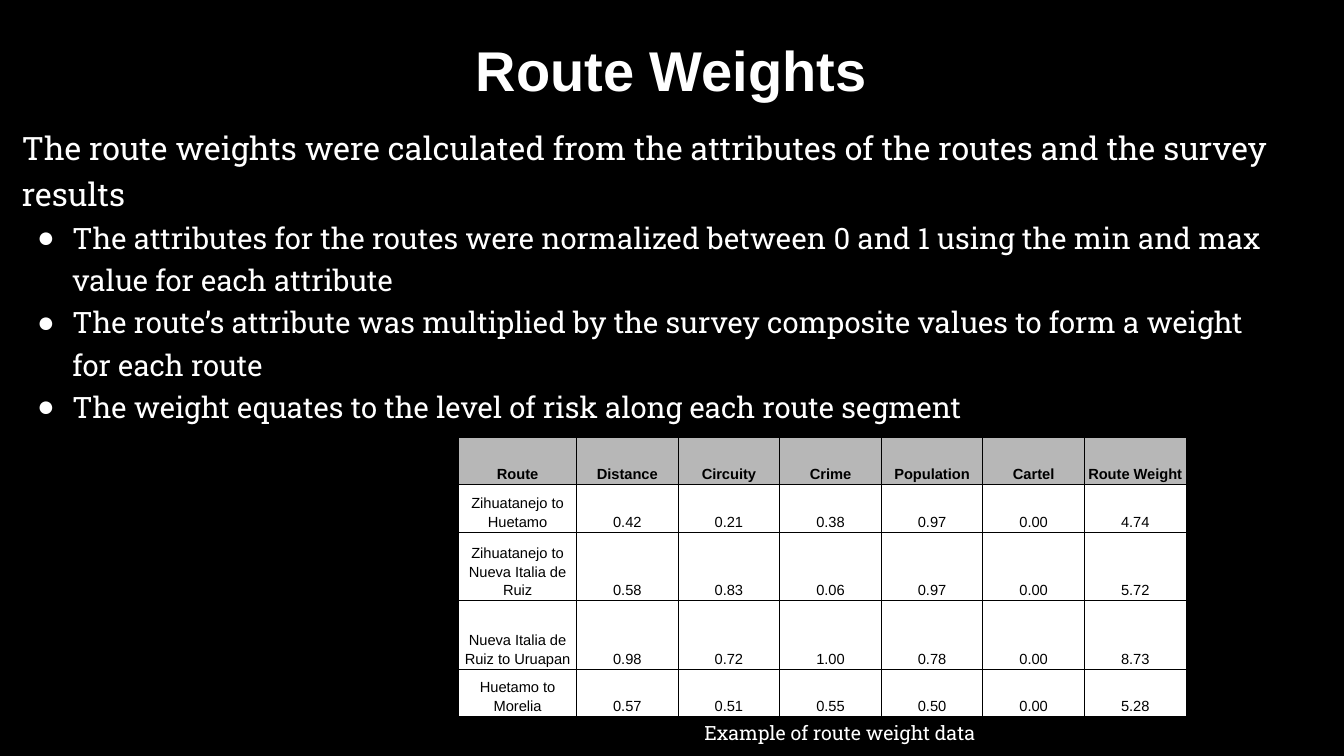
from lxml import etree
from pptx import Presentation
from pptx.dml.color import RGBColor
from pptx.enum.text import MSO_ANCHOR, MSO_AUTO_SIZE, PP_ALIGN
from pptx.oxml.ns import qn
from pptx.util import Cm, Pt

CENTER, LEFT = PP_ALIGN.CENTER, PP_ALIGN.LEFT
MIDDLE, TOP, BOTTOM = MSO_ANCHOR.MIDDLE, MSO_ANCHOR.TOP, MSO_ANCHOR.BOTTOM
NO_FIT, GROW = MSO_AUTO_SIZE.NONE, MSO_AUTO_SIZE.SHAPE_TO_FIT_TEXT

COLORS = {"black": "000000", "white": "FFFFFF", "header": "B7B7B7"}
SANS, SLAB = "Arial", "Roboto Slab"

HEADING = "Route Weights"
INTRO = ("The route weights were calculated from the attributes of the routes "
         "and the survey results")
POINTS = [
    "The attributes for the routes were normalized between 0 and 1 using the "
    "min and max value for each attribute",
    "The route’s attribute was multiplied by the survey composite values to "
    "form a weight for each route",
    "The weight equates to the level of risk along each route segment",
]
CAPTION = "Example of route weight data"
WEIGHTS = [
    ("Route", "Distance", "Circuity", "Crime", "Population", "Cartel", "Route Weight"),
    ("Zihuatanejo to Huetamo", "0.42", "0.21", "0.38", "0.97", "0.00", "4.74"),
    ("Zihuatanejo to Nueva Italia de Ruiz", "0.58", "0.83", "0.06", "0.97", "0.00", "5.72"),
    ("Nueva Italia de Ruiz to Uruapan", "0.98", "0.72", "1.00", "0.78", "0.00", "8.73"),
    ("Huetamo to Morelia", "0.57", "0.51", "0.55", "0.50", "0.00", "5.28"),
]
ROUTE_WIDTH, VALUE_WIDTH = 2.97, 2.56
ROW_HEIGHTS = [1.19, 1.19, 1.73, 1.73, 1.19]


def rgb(name):
    return RGBColor.from_string(COLORS[name])


def write(paragraph, text, size, font=SLAB, color="white", bold=False,
          align=LEFT, spacing=1.0, bullet=None):
    props = paragraph._p.get_or_add_pPr()
    props.set("marL", str(Cm(1.27) if bullet else 0))
    props.set("indent", str(Cm(-0.89) if bullet else 0))
    paragraph.alignment = align
    paragraph.line_spacing = spacing
    paragraph.space_before = paragraph.space_after = Pt(0)
    if bullet:
        tint = etree.SubElement(props, qn("a:buClr"))
        etree.SubElement(tint, qn("a:srgbClr"), val=COLORS[color])
        etree.SubElement(props, qn("a:buChar"), char=bullet)
    else:
        etree.SubElement(props, qn("a:buNone"))
    run = paragraph.add_run()
    run.text = text
    run.font.size = Pt(size)
    run.font.name = font
    run.font.bold = bold
    run.font.color.rgb = rgb(color)


def place(part, left, top, width, height):
    part.left, part.top = Cm(left), Cm(top)
    part.width, part.height = Cm(width), Cm(height)


def add_borders(cell):
    props = cell._tc.get_or_add_tcPr()
    for side in ("lnL", "lnR", "lnT", "lnB"):
        border = etree.SubElement(props, qn(f"a:{side}"), w=str(Pt(0.75)))
        fill = etree.SubElement(border, qn("a:solidFill"))
        etree.SubElement(fill, qn("a:srgbClr"), val=COLORS["black"])


def add_weights(slide):
    widths = [ROUTE_WIDTH] + [VALUE_WIDTH] * (len(WEIGHTS[0]) - 1)
    table = slide.shapes.add_table(
        len(WEIGHTS), len(widths), Cm(11.56), Cm(11.03),
        Cm(sum(widths)), Cm(sum(ROW_HEIGHTS))).table
    for column, width in zip(table.columns, widths):
        column.width = Cm(width)
    for row, height, values in zip(table.rows, ROW_HEIGHTS, WEIGHTS):
        row.height = Cm(height)
        is_header = values is WEIGHTS[0]
        for cell, value in zip(row.cells, values):
            add_borders(cell)
            cell.fill.solid()
            cell.fill.fore_color.rgb = rgb("header" if is_header else "white")
            cell.margin_left = cell.margin_right = Cm(0.08)
            cell.margin_top = cell.margin_bottom = Cm(0.05)
            cell.vertical_anchor = BOTTOM
            write(cell.text_frame.paragraphs[0], value, 10.5, font=SANS,
                  color="black", bold=is_header, align=CENTER, spacing=1.15)


def main():
    deck = Presentation()
    deck.slide_width, deck.slide_height = Cm(33.87), Cm(19.05)
    slide = deck.slides.add_slide(deck.slide_layouts[1])
    slide.background.fill.solid()
    slide.background.fill.fore_color.rgb = rgb("black")

    heading, body = slide.placeholders
    place(heading, 2.54, 0, 28.75, 3.68)
    heading.text_frame.auto_size = NO_FIT
    heading.text_frame.vertical_anchor = MIDDLE
    write(heading.text_frame.paragraphs[0], HEADING, 40, font=SANS, bold=True,
          align=CENTER, spacing=0.9)

    place(body, 0.3, 2.9, 32, 10.29)
    body.text_frame.auto_size = NO_FIT
    body.text_frame.vertical_anchor = TOP
    write(body.text_frame.paragraphs[0], INTRO, 23, spacing=1.2)
    for point in POINTS:
        write(body.text_frame.add_paragraph(), point, 21, spacing=1.2, bullet="●")

    caption = slide.shapes.add_textbox(Cm(17.5), Cm(18.03), Cm(7.47), Cm(0.86))
    caption.text_frame.word_wrap = False
    caption.text_frame.auto_size = GROW
    write(caption.text_frame.paragraphs[0], CAPTION, 14)

    add_weights(slide)
    deck.save("out.pptx")


if __name__ == "__main__":
    main()
